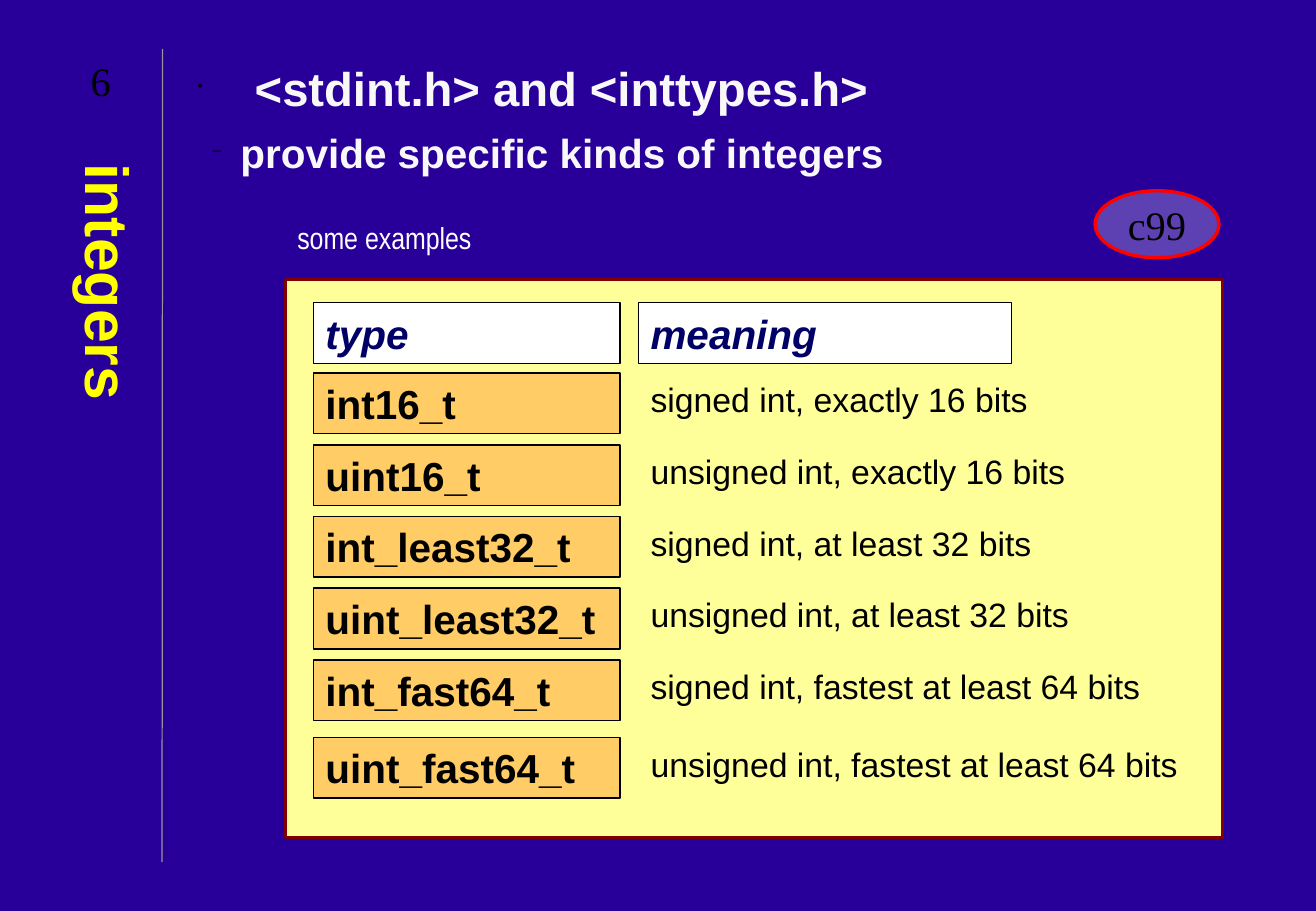
from lxml.etree import SubElement
from pptx import Presentation
from pptx.dml.color import RGBColor
from pptx.enum.shapes import MSO_CONNECTOR, MSO_SHAPE
from pptx.enum.text import MSO_ANCHOR, PP_ALIGN
from pptx.oxml.ns import qn
from pptx.util import Cm, Pt

INDIGO = RGBColor(0x28, 0x00, 0x99)
BLACK = RGBColor(0x00, 0x00, 0x00)
WHITE = RGBColor(0xFF, 0xFF, 0xFF)
OFF_WHITE = RGBColor(0xF8, 0xF8, 0xF8)
YELLOW = RGBColor(0xFF, 0xFF, 0x00)
CREAM = RGBColor(0xFF, 0xFF, 0x99)
ORANGE = RGBColor(0xFF, 0xCC, 0x66)
MAROON = RGBColor(0x80, 0x00, 0x00)
NAVY = RGBColor(0x00, 0x00, 0x66)
RED = RGBColor(0xFF, 0x00, 0x00)
GREY = RGBColor(0x96, 0x96, 0x96)

TYPE_LEFT, TYPE_WIDTH = 6.56, 6.41
MEANING_LEFT, MEANING_WIDTH = 13.36, 11.8
HEADER_TOP, HEADER_WIDTH = 6.33, 7.8
FIRST_ROW_TOP, ROW_STEP, LAST_ROW_TOP = 7.8, 1.5, 15.42
CELL_HEIGHT = 1.27

TYPES = [
    ("int16_t", "signed int, exactly 16 bits"),
    ("uint16_t", "unsigned int, exactly 16 bits"),
    ("int_least32_t", "signed int, at least 32 bits"),
    ("uint_least32_t", "unsigned int, at least 32 bits"),
    ("int_fast64_t", "signed int, fastest at least 64 bits"),
    ("uint_fast64_t", "unsigned int, fastest at least 64 bits"),
]


def add_run(p, text, size, color, font="Arial", bold=False, italic=False):
    r = p.add_run()
    r.text = text
    r.font.name = font
    r.font.size = Pt(size)
    r.font.bold = bold
    r.font.italic = italic
    r.font.color.rgb = color


def add_text(slide, left, top, width, height):
    sp = slide.shapes.add_textbox(Cm(left), Cm(top), Cm(width), Cm(height))
    sp.text_frame.word_wrap = True
    return sp.text_frame


def add_box(slide, kind, left, top, width, height, fill, line, line_width):
    sp = slide.shapes.add_shape(kind, Cm(left), Cm(top), Cm(width), Cm(height))
    sp.shadow.inherit = False
    sp.fill.solid()
    sp.fill.fore_color.rgb = fill
    sp.line.color.rgb = line
    sp.line.width = Pt(line_width)
    return sp


def add_cell(slide, left, top, width, text, fill, color, italic=False):
    sp = add_box(slide, MSO_SHAPE.RECTANGLE, left, top, width, CELL_HEIGHT, fill, BLACK, 1)
    tf = sp.text_frame
    tf.word_wrap = True
    tf.vertical_anchor = MSO_ANCHOR.TOP
    p = tf.paragraphs[0]
    p.alignment = PP_ALIGN.LEFT
    add_run(p, text, 24, color, bold=True, italic=italic)


def set_bullet(p, char, percent, margin, indent):
    pPr = p._p.get_or_add_pPr()
    pPr.set("marL", str(Cm(margin)))
    pPr.set("indent", str(Cm(indent)))
    color = SubElement(pPr, qn("a:buClr"))
    SubElement(color, qn("a:srgbClr"), val=str(BLACK))
    SubElement(pPr, qn("a:buSzPct"), val=str(percent * 1000))
    SubElement(pPr, qn("a:buChar"), char=char)


def add_side_rule(slide):
    rule = slide.shapes.add_connector(MSO_CONNECTOR.STRAIGHT, Cm(3.39), Cm(18.03), Cm(3.4), Cm(1.02))
    rule.line.color.rgb = GREY
    rule.line.width = Pt(0.75)
    SubElement(rule._element.spPr, qn("a:effectLst"))


def add_side_title(slide):
    tf = add_text(slide, 0.84, 3.18, 2.34, 14.81)
    tf.margin_left = tf.margin_right = Cm(0.13)
    tf.margin_top = tf.margin_bottom = Cm(0.25)
    tf._txBody.bodyPr.set("vert", "eaVert")
    p = tf.paragraphs[0]
    p.alignment = PP_ALIGN.CENTER
    add_run(p, "integers", 36, YELLOW, bold=True)


def add_heading(slide):
    tf = add_text(slide, 3.61, 1.12, 22.66, 16.9)
    p = tf.paragraphs[0]
    set_bullet(p, "•", 32, 1.47, -1.19)
    add_run(p, "<stdint.h> and <inttypes.h>", 28, OFF_WHITE, bold=True)
    p = tf.add_paragraph()
    p.level = 1
    set_bullet(p, "–", 37, 1.17, -0.58)
    p.space_before = Pt(7)
    add_run(p, "provide specific kinds of integers", 24, OFF_WHITE, bold=True)


def add_type_grid(slide):
    add_box(slide, MSO_SHAPE.RECTANGLE, 5.97, 5.84, 19.61, 11.68, CREAM, MAROON, 2)
    add_cell(slide, TYPE_LEFT, HEADER_TOP, TYPE_WIDTH, "type", WHITE, NAVY, italic=True)
    add_cell(slide, MEANING_LEFT, HEADER_TOP, HEADER_WIDTH, "meaning", WHITE, NAVY, italic=True)
    tops = [FIRST_ROW_TOP + ROW_STEP * i for i in range(len(TYPES) - 1)] + [LAST_ROW_TOP]
    for top, (name, meaning) in zip(tops, TYPES):
        add_cell(slide, TYPE_LEFT, top, TYPE_WIDTH, name, ORANGE, BLACK)
        tf = add_text(slide, MEANING_LEFT, top, MEANING_WIDTH, 1.12)
        p = tf.paragraphs[0]
        p.alignment = PP_ALIGN.JUSTIFY
        add_run(p, meaning, 20, BLACK)


def add_standard_badge(slide):
    sp = add_box(slide, MSO_SHAPE.OVAL, 22.91, 3.99, 2.59, 1.4, WHITE, RED, 2)
    fill_color = sp._element.spPr.find(qn("a:solidFill"))[0]
    SubElement(fill_color, qn("a:alpha"), val="25000")
    tf = sp.text_frame
    tf.word_wrap = False
    tf.vertical_anchor = MSO_ANCHOR.MIDDLE
    p = tf.paragraphs[0]
    p.alignment = PP_ALIGN.CENTER
    add_run(p, "c99", 24, BLACK, "Times New Roman")


def add_page_number(slide):
    tf = add_text(slide, 1.07, 1.04, 2.08, 1.27)
    tf.vertical_anchor = MSO_ANCHOR.MIDDLE
    p = tf.paragraphs[0]
    p.alignment = PP_ALIGN.CENTER
    add_run(p, "6", 24, BLACK, "Times New Roman")


def main():
    prs = Presentation()
    prs.slide_width, prs.slide_height = Cm(27.53), Cm(19.05)
    slide = prs.slides.add_slide(prs.slide_layouts[6])
    slide.background.fill.solid()
    slide.background.fill.fore_color.rgb = INDIGO

    add_side_rule(slide)
    add_side_title(slide)
    add_heading(slide)
    add_type_grid(slide)
    tf = add_text(slide, 5.97, 4.45, 7.21, 1.02)
    add_run(tf.paragraphs[0], "some examples", 18, WHITE, "Arial Narrow")
    add_standard_badge(slide)
    add_page_number(slide)
    prs.save("out.pptx")


if __name__ == "__main__":
    main()
